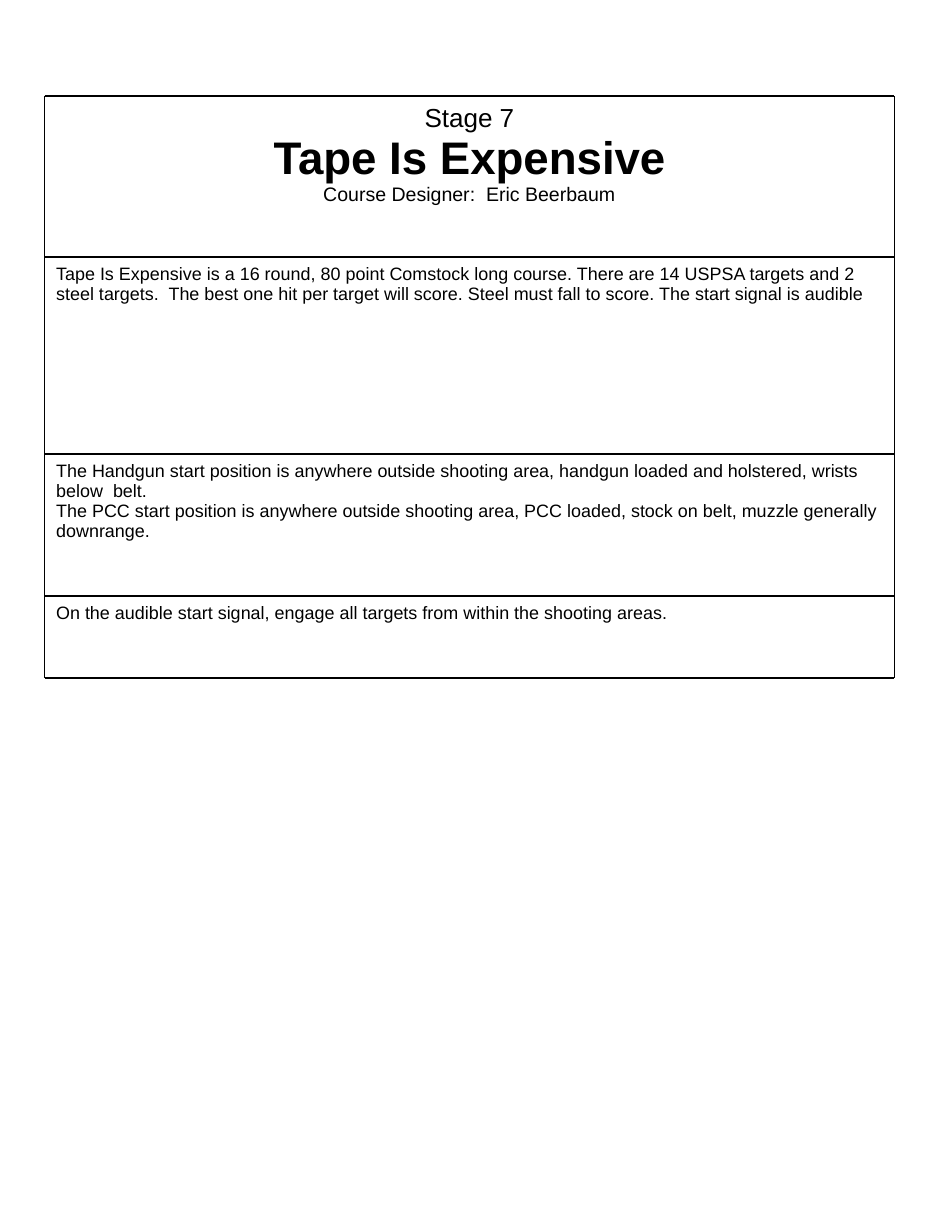
import pptx
import pptx.util
import pptx.dml.color
import pptx.enum.shapes
import pptx.enum.text
from lxml import etree

INCH = pptx.util.Inches
ALIGN = pptx.enum.text.PP_ALIGN
WIDE, HIGH = 8, 10.5
LEFT, RIGHT = 0.38, WIDE - 0.38
ROWS = [0.82, 2.19, 3.87, 5.08, 5.78]

HEAD = [("Stage 7", 16, False), ("Tape Is Expensive", 28, True),
        ("Course Designer:  Eric Beerbaum", 12, False)]
BRIEF = [
    ["Tape Is Expensive is a 16 round, 80 point Comstock long course. "
     "There are 14 USPSA targets and 2 steel targets.  The best one hit per "
     "target will score. Steel must fall to score. The start signal is audible"],
    ["The Handgun start position is anywhere outside shooting area, "
     "handgun loaded and holstered, wrists below  belt.",
     "The PCC start position is anywhere outside shooting area, "
     "PCC loaded, stock on belt, muzzle generally downrange."],
    ["On the audible start signal, engage all targets from within "
     "the shooting areas."],
]


def color(code):
    return pptx.dml.color.RGBColor.from_string(code)


def write(frame, text, first=False, size=11, bold=False, align=ALIGN.LEFT):
    """Add one paragraph, or fill the first one of the frame."""
    para = frame.paragraphs[0] if first else frame.add_paragraph()
    run = para.add_run()
    run.text = text
    para.alignment = align
    para.line_spacing = 0.93
    font = run.font
    font.name, font.size, font.bold = "Arial", pptx.util.Pt(size), bold
    font.color.rgb = color("000000")


def setup(shape, row, top):
    """Place a white panel on its row and return its text frame."""
    shape.left, shape.top = INCH(LEFT), INCH(ROWS[row])
    shape.width = INCH(RIGHT - LEFT)
    shape.height = INCH(ROWS[row + 1] - ROWS[row])
    shape.fill.solid()
    shape.fill.fore_color.rgb = color("FFFFFF")
    shape.line.fill.background()
    frame = shape.text_frame
    frame.word_wrap = True
    frame.auto_size = pptx.enum.text.MSO_AUTO_SIZE.NONE
    frame.vertical_anchor = pptx.enum.text.MSO_ANCHOR.TOP
    frame.margin_left = frame.margin_right = INCH(0.1)
    frame.margin_top, frame.margin_bottom = INCH(top), INCH(0.05)
    return frame


def header(slide):
    frame = setup(slide.shapes.title, 0, top=0.07)
    for i, (text, size, bold) in enumerate(HEAD):
        write(frame, text, first=i == 0, size=size, bold=bold,
              align=ALIGN.CENTER)


def panel(slide, row, texts):
    shape = slide.shapes.add_shape(
        pptx.enum.shapes.MSO_SHAPE.RECTANGLE, 0, 0, 0, 0)
    shape.shadow.inherit = False
    frame = setup(shape, row, top=0.06)
    for i, text in enumerate(texts):
        write(frame, text, first=i == 0)


def rule(slide, *ends):
    """Draw a thin black line from x, y to x, y."""
    line = slide.shapes.add_connector(
        pptx.enum.shapes.MSO_CONNECTOR.STRAIGHT, *map(INCH, ends))
    line.line.width = pptx.util.Pt(0.91)
    line.line.color.rgb = color("000000")
    etree.SubElement(line._element.spPr, pptx.oxml.ns.qn("a:effectLst"))


def main():
    deck = pptx.Presentation()
    deck.slide_width, deck.slide_height = INCH(WIDE), INCH(HIGH)
    slide = deck.slides.add_slide(deck.slide_layouts.get_by_name("Title Only"))
    header(slide)
    for row, texts in enumerate(BRIEF, 1):
        panel(slide, row, texts)
    for y in ROWS:
        rule(slide, LEFT, y, RIGHT, y)
    for x in (LEFT, RIGHT):
        for top, end in zip(ROWS, ROWS[1:]):
            rule(slide, x, top, x, end)
    deck.save("out.pptx")


if __name__ == "__main__":
    main()
